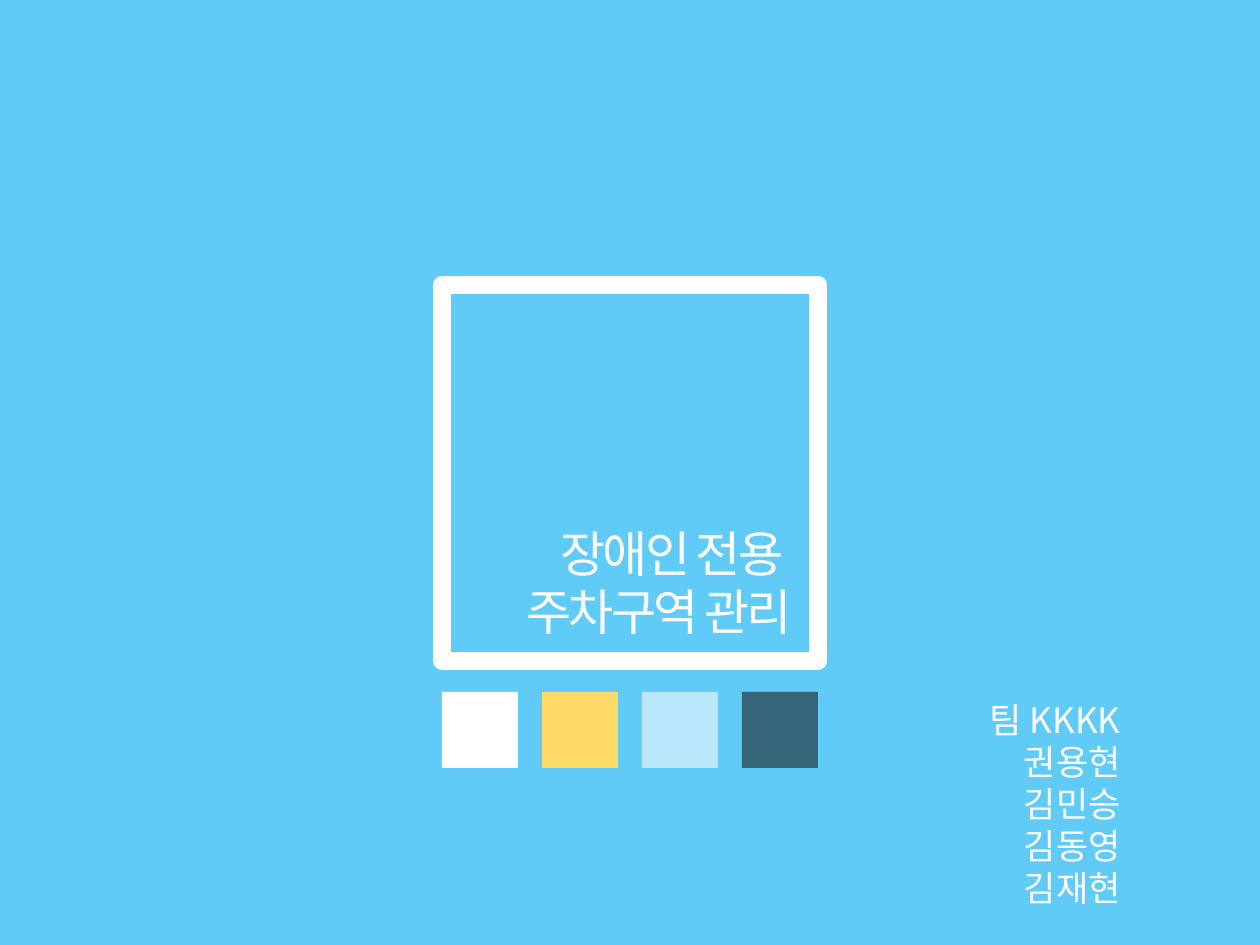
"""Build the title slide of a parking-management talk: frame, title, team and palette."""
from dataclasses import dataclass

from lxml import etree
from pptx import Presentation
from pptx import util as u
from pptx.dml.color import RGBColor
from pptx.enum import shapes, text
from pptx.oxml.ns import qn

PX_PER_INCH = 126
FONT = "Noto Sans CJK KR"
LINE_RATIO = 1.2
COLOURS = {
    "sky": "60CBF6",
    "white": "FFFFFF",
    "yellow": "FFD966",
    "pale": "B9E6F8",
    "slate": "356577",
}
SWATCHES = ("white", "yellow", "pale", "slate")
SWATCH_LEFT, SWATCH_TOP, SWATCH_SIDE, SWATCH_STEP = 442, 692, 76, 100


@dataclass(frozen=True)
class Square:
    left: int
    top: int
    side: int
    fill: str = ""
    line: str = ""
    line_points: int = 0


@dataclass(frozen=True)
class TextBlock:
    left: int
    top: int
    width: int
    height: int
    lines: tuple[str, ...]
    points: int
    tracking: float = 0


def px(value: int) -> int:
    return round(value * u.Inches(1) / PX_PER_INCH)


def colour(name: str) -> RGBColor:
    return RGBColor.from_string(COLOURS[name])


def draw_square(page, square: Square) -> None:
    shape = page.shapes.add_shape(
        shapes.MSO_SHAPE.RECTANGLE,
        px(square.left), px(square.top), px(square.side), px(square.side),
    )
    shape.shadow.inherit = False
    if square.fill:
        shape.fill.solid()
        shape.fill.fore_color.rgb = colour(square.fill)
    else:
        shape.fill.background()
    if square.line:
        shape.line.color.rgb = colour(square.line)
        shape.line.width = u.Pt(square.line_points)
    else:
        shape.line.fill.background()


def draw_text(page, block: TextBlock) -> None:
    box = page.shapes.add_textbox(
        px(block.left), px(block.top), px(block.width), px(block.height)
    )
    frame = box.text_frame
    frame.word_wrap = True
    frame.auto_size = text.MSO_AUTO_SIZE.SHAPE_TO_FIT_TEXT
    for index, line in enumerate(block.lines):
        para = frame.add_paragraph() if index else frame.paragraphs[0]
        para.alignment = text.PP_ALIGN.RIGHT
        para.line_spacing = u.Pt(block.points * LINE_RATIO)
        span = para.add_run()
        span.text = line
        span.font.size = u.Pt(block.points)
        span.font.color.rgb = colour("white")
        span.font.name = FONT
        properties = span._r.get_or_add_rPr()
        etree.SubElement(properties, qn("a:ea"), typeface=FONT)
        if block.tracking:
            properties.set("spc", str(round(block.tracking * 100)))


def main() -> None:
    deck = Presentation()
    deck.slide_width, deck.slide_height = px(1260), px(945)
    page = deck.slides.add_slide(deck.slide_layouts[6])
    page.background.fill.solid()
    page.background.fill.fore_color.rgb = colour("sky")

    draw_square(page, Square(442, 285, 376, line="white", line_points=10))
    draw_text(page, TextBlock(
        455, 517, 349, 131, ("장애인 전용 ", "주차구역 관리"), 28, tracking=-1.5
    ))
    draw_text(page, TextBlock(
        842, 692, 291, 224, ("팀 KKKK", "권용현", "김민승", "김동영", "김재현"), 20
    ))
    for index, name in enumerate(SWATCHES):
        left = SWATCH_LEFT + index * SWATCH_STEP
        draw_square(page, Square(left, SWATCH_TOP, SWATCH_SIDE, fill=name))

    deck.save("out.pptx")


if __name__ == "__main__":
    main()
